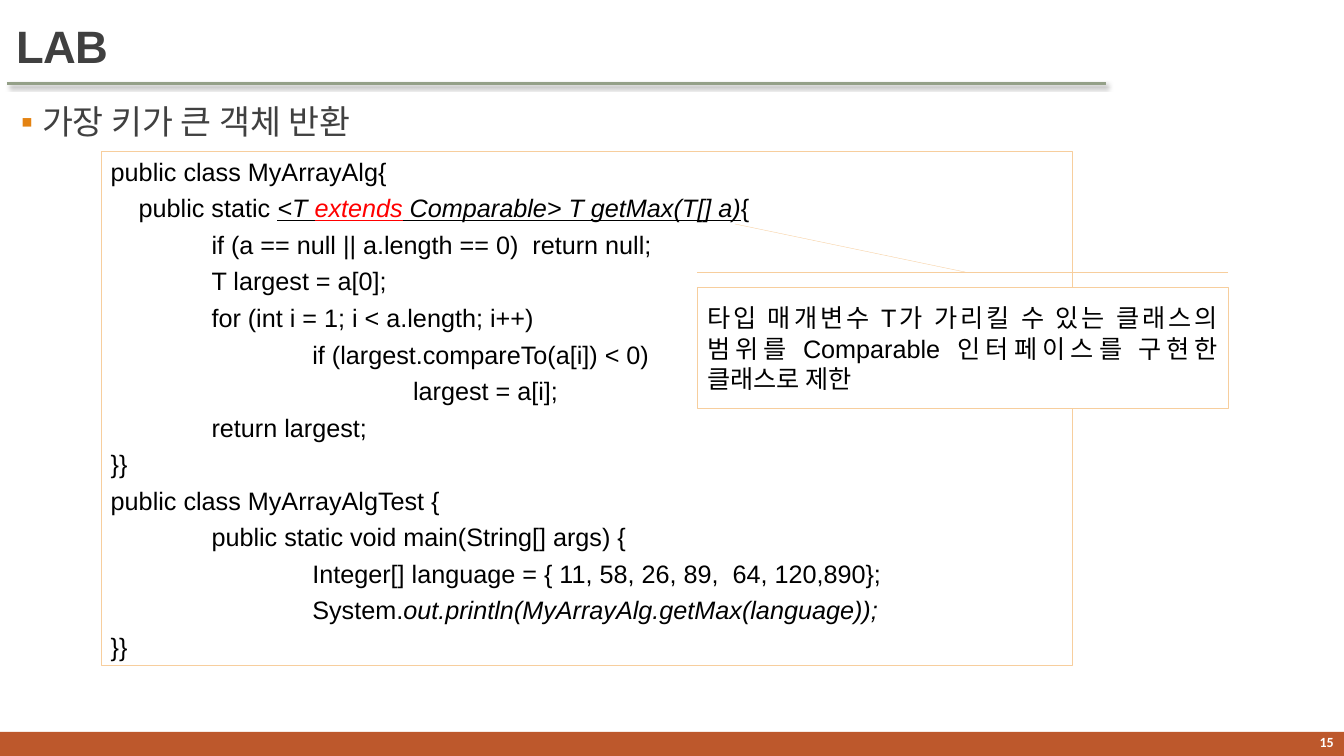
from dataclasses import dataclass

from lxml.etree import SubElement
from pptx import Presentation
from pptx.dml.color import RGBColor
from pptx.enum.shapes import MSO_CONNECTOR, MSO_SHAPE
from pptx.enum.text import MSO_ANCHOR, MSO_AUTO_SIZE, PP_ALIGN
from pptx.oxml import parse_xml
from pptx.oxml.ns import nsdecls, qn
from pptx.util import Pt

BLACK = RGBColor(0x00, 0x00, 0x00)
WHITE = RGBColor(0xFF, 0xFF, 0xFF)
RED = RGBColor(0xFF, 0x00, 0x00)
GREY = RGBColor(0x40, 0x40, 0x40)
RUST = RGBColor(0xBD, 0x58, 0x2C)
SAGE = RGBColor(0x94, 0xA0, 0x88)
PEACH = RGBColor(0xF7, 0xCE, 0x9D)
TAB_WIDTH = 72


@dataclass(frozen=True)
class Span:
    text: str
    italic: bool = False
    underline: bool = False
    color: RGBColor = BLACK


@dataclass(frozen=True)
class Box:
    left: float
    top: float
    width: float
    height: float

    def lengths(self) -> tuple:
        return Pt(self.left), Pt(self.top), Pt(self.width), Pt(self.height)


CODE = [
    [Span("public class MyArrayAlg{")],
    [
        Span("    public static "),
        Span("<T ", True, True),
        Span("extends", True, True, RED),
        Span(" Comparable> T getMax(T[] a)", True, True),
        Span("{"),
    ],
    [Span("\tif (a == null || a.length == 0)  return null;")],
    [Span("\tT largest = a[0];")],
    [Span("\tfor (int i = 1; i < a.length; i++)")],
    [Span("\t\tif (largest.compareTo(a[i]) < 0)")],
    [Span("\t\t\tlargest = a[i];")],
    [Span("\treturn largest;")],
    [Span("}}")],
    [Span("public class MyArrayAlgTest {")],
    [Span("\tpublic static void main(String[] args) {")],
    [Span("\t\tInteger[] language = { 11, 58, 26, 89,  64, 120,890};")],
    [Span("\t\tSystem."), Span("out.println(MyArrayAlg.getMax(language));", True)],
    [Span("}}")],
]


def add_run(p, text: str, *, size: float = 18, font: str = "Arial",
            color: RGBColor = BLACK, bold: bool = False,
            italic: bool = False, underline: bool = False):
    r = p.add_run()
    r.text = text
    f = r.font
    f.size, f.name, f.bold = Pt(size), font, bold
    f.italic, f.underline = italic, underline
    f.color.rgb = color
    return r


def add_panel(slide, kind: MSO_SHAPE, box: Box, fill: RGBColor,
              line: RGBColor | None = None):
    sp = slide.shapes.add_shape(kind, *box.lengths())
    sp.shadow.inherit = False
    sp.fill.solid()
    sp.fill.fore_color.rgb = fill
    if line is None:
        sp.line.fill.background()
    else:
        sp.line.color.rgb = line
        sp.line.width = Pt(0.25)
    sp.text_frame.word_wrap = True
    return sp


def add_text_box(slide, box: Box):
    tf = slide.shapes.add_textbox(*box.lengths()).text_frame
    tf.word_wrap = True
    return tf


def add_title_rule(slide) -> None:
    rule = slide.shapes.add_connector(
        MSO_CONNECTOR.STRAIGHT, Pt(5), Pt(59.8), Pt(790), Pt(59.8))
    rule.line.color.rgb = SAGE
    rule.line.width = Pt(2)
    rule._element.spPr.append(parse_xml(
        f'<a:effectLst {nsdecls("a")}>'
        '<a:outerShdw blurRad="38100" dist="25400" dir="2700000" algn="tl">'
        '<a:srgbClr val="000000"><a:alpha val="60000"/></a:srgbClr>'
        '</a:outerShdw></a:effectLst>'))


def add_heading(slide) -> None:
    title = slide.shapes.title
    title.left, title.top, title.width, title.height = Box(4.3, 8.6, 792, 48.2).lengths()
    tf = title.text_frame
    tf.auto_size = MSO_AUTO_SIZE.NONE
    tf.vertical_anchor = MSO_ANCHOR.MIDDLE
    p = tf.paragraphs[0]
    p.alignment = PP_ALIGN.LEFT
    r = add_run(p, "LAB", size=32.4, color=GREY, bold=True)
    r.font._element.set("spc", "-50")


def add_bullet(slide) -> None:
    tf = add_text_box(slide, Box(15.1, 72, 918.7, 36))
    tf.margin_left = tf.margin_right = 0
    p = tf.paragraphs[0]
    p.line_spacing = 0.9
    pPr = p._p.get_or_add_pPr()
    pPr.set("marL", str(Pt(15)))
    pPr.set("indent", str(-Pt(15)))
    color = SubElement(pPr, qn("a:buClr"))
    SubElement(color, qn("a:srgbClr"), val="E48312")
    SubElement(pPr, qn("a:buFont"), typeface="Calibri")
    SubElement(pPr, qn("a:buChar"), char="▪")
    add_run(p, "가장 키가 큰 객체 반환", size=24, font="Calibri", color=GREY)


def add_code(slide) -> None:
    sp = add_panel(slide, MSO_SHAPE.RECTANGLE, Box(72, 108, 694, 367.2), WHITE, PEACH)
    tf = sp.text_frame
    tf.vertical_anchor = MSO_ANCHOR.TOP
    for i, spans in enumerate(CODE):
        p = tf.add_paragraph() if i else tf.paragraphs[0]
        p.alignment = PP_ALIGN.LEFT
        if i:
            p.space_before = Pt(4.5)
        tabs = SubElement(p._p.get_or_add_pPr(), qn("a:tabLst"))
        for n in range(1, 4):
            SubElement(tabs, qn("a:tab"), pos=str(Pt(n * TAB_WIDTH)), algn="l")
        for s in spans:
            add_run(p, s.text, italic=s.italic, underline=s.underline, color=s.color)


def add_callout(slide) -> None:
    # Turned a quarter so that the accent bar lies along the top
    sp = add_panel(slide, MSO_SHAPE.LINE_CALLOUT_1_BORDER_AND_ACCENT_BAR,
                   Box(644.4, 59, 86.4, 379.4), WHITE, PEACH)
    sp.rotation = 90
    for i, value in enumerate((0.495, -0.129, 0.929, -0.527)):
        sp.adjustments[i] = value
    tf = sp.text_frame
    tf.vertical_anchor = MSO_ANCHOR.MIDDLE
    tf._txBody.bodyPr.set("vert", "vert270")
    p = tf.paragraphs[0]
    p.alignment = PP_ALIGN.JUSTIFY
    add_run(p, "타입 매개변수 T가 가리킬 수 있는 클래스의 범위를 Comparable "
               "인터페이스를 구현한 클래스로 제한")


def add_footer(slide) -> None:
    add_panel(slide, MSO_SHAPE.RECTANGLE, Box(0, 522.7, 960, 17.3), RUST)
    tf = add_text_box(slide, Box(856.8, 520.6, 103, 19.4))
    tf.vertical_anchor = MSO_ANCHOR.MIDDLE
    p = tf.paragraphs[0]
    p.alignment = PP_ALIGN.RIGHT
    add_run(p, "15", size=10, font="Calibri", color=WHITE, bold=True)


def main() -> None:
    prs = Presentation()
    prs.slide_width, prs.slide_height = Pt(960), Pt(540)
    slide = prs.slides.add_slide(prs.slide_layouts[5])
    add_footer(slide)
    add_title_rule(slide)
    add_heading(slide)
    add_bullet(slide)
    add_code(slide)
    add_callout(slide)
    prs.save("out.pptx")


if __name__ == "__main__":
    main()
